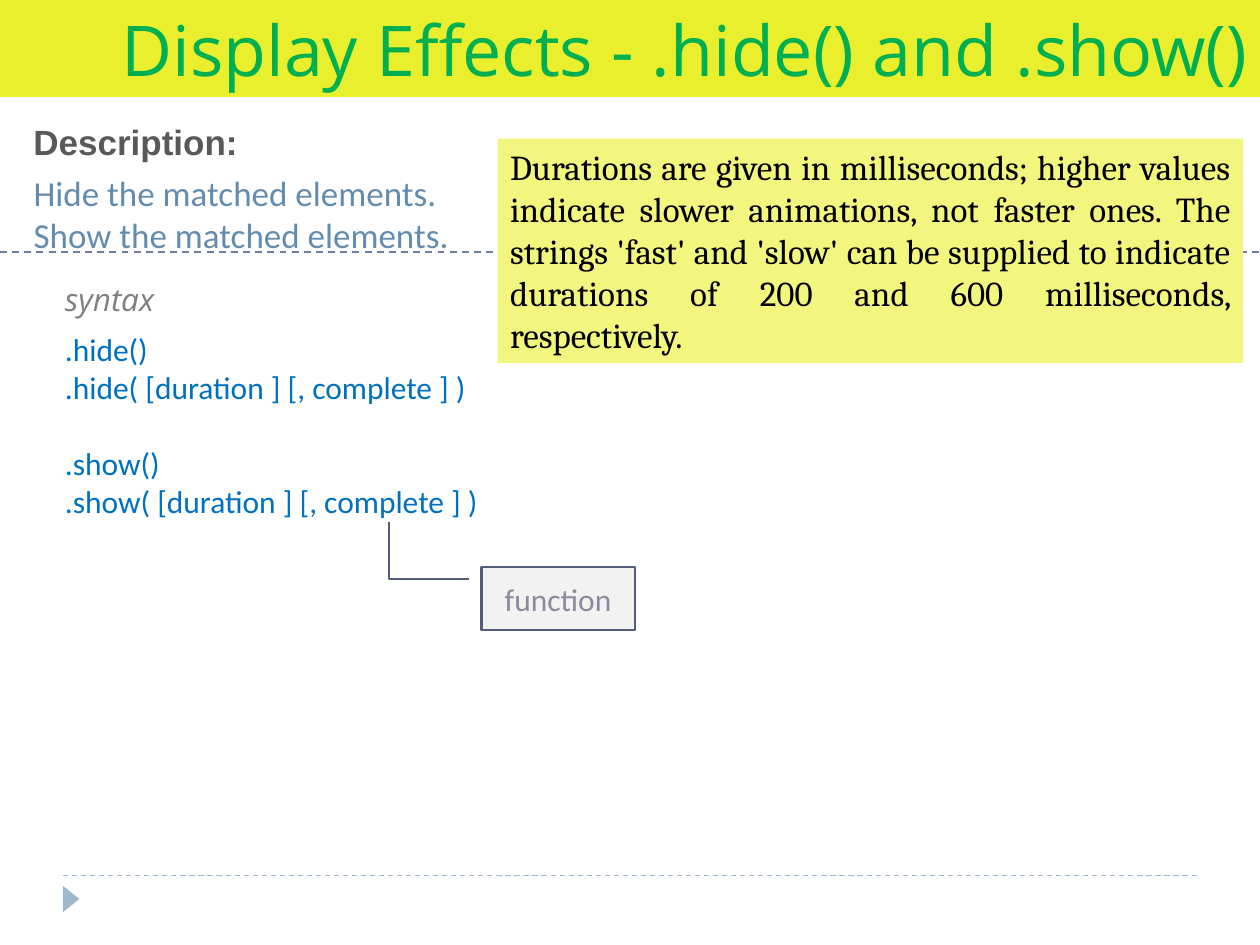
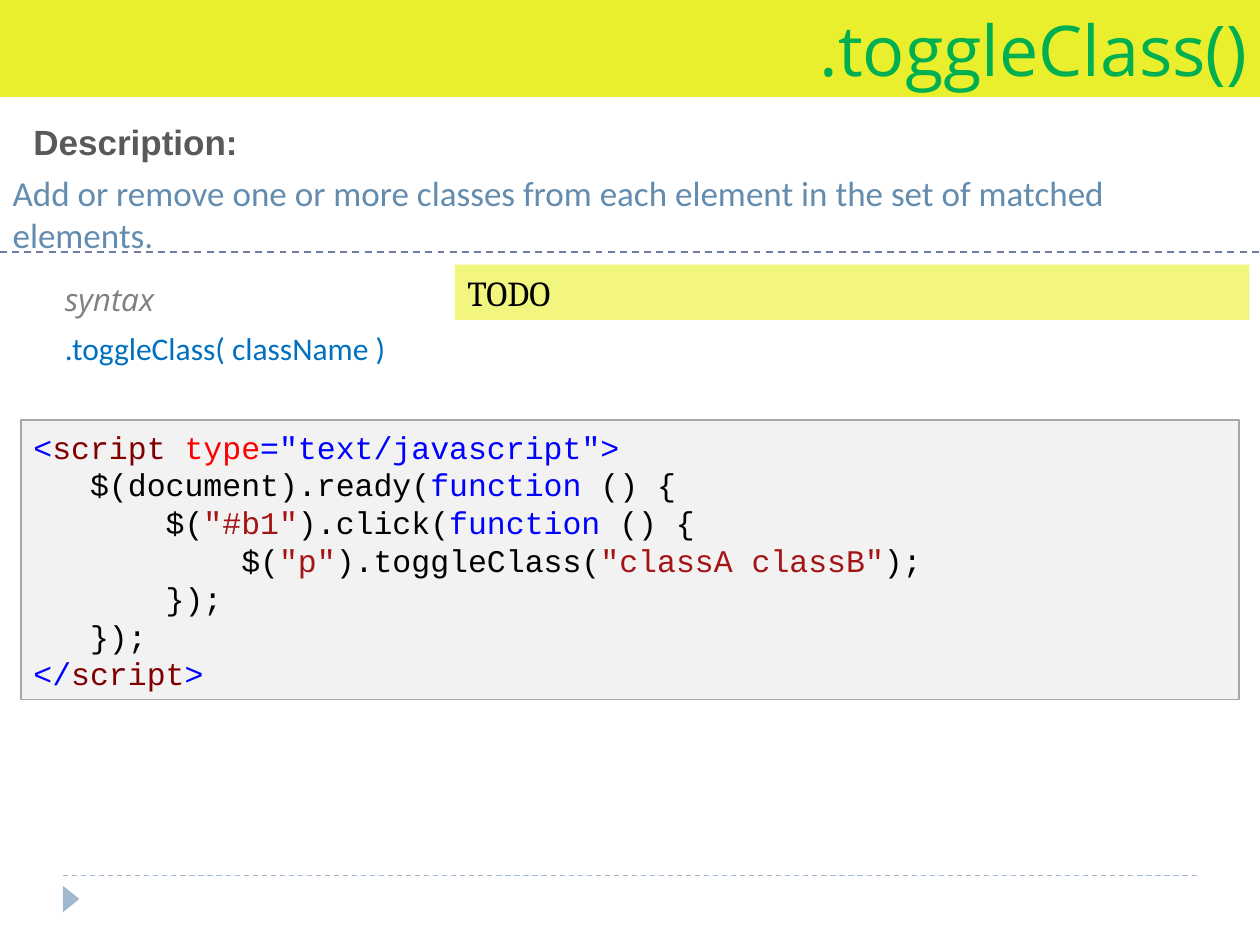
from dataclasses import dataclass
from lxml import etree
from pptx import Presentation
from pptx.dml.color import RGBColor
from pptx.enum.dml import MSO_LINE
from pptx.enum.shapes import MSO_CONNECTOR, MSO_SHAPE
from pptx.enum.text import MSO_ANCHOR, MSO_AUTO_SIZE, PP_ALIGN
from pptx.oxml.ns import qn
from pptx.util import Pt


@dataclass(frozen=True)
class Theme:
    """Colours, and text styles as (font, size, colour)."""
    band = "EAEF2D"
    note_fill = "F3F67E"
    panel = "F2F2F2"
    panel_line = "A6A6A6"
    callout_line = "545C79"
    rule = "727CA3"
    footer = "9FB8CD"
    title = ("Open Sans", 40, "00B050")
    heading = ("Arial", 20, "595959")
    description = ("Calibri", 20, "638CAE")
    syntax_label = ("Open Sans", 18, "808080")
    syntax = ("Calibri", 18, "0070C0")
    note = ("Cambria", 20, "000000")
    callout = ("Calibri", 18, "8B8B9D")
    code = ("Courier New", 18, "000000")
    keyword = "0000FF"
    tag = "800000"
    attribute = "FF0000"
    string = "A31515"


theme = Theme()
WIDTH, HEIGHT = 720, 540
CODE_CHAR = 10.8   # width of one code character
SYNTAX_LINE = 22   # height of one syntax line


def write(shape, box, paragraphs, style, align=PP_ALIGN.LEFT, fill=None, line=None):
    """Place a shape, paint it, and fill it with paragraphs of (text, colour) runs."""
    shape.left, shape.top, shape.width, shape.height = map(Pt, box)
    shape.shadow.inherit = False
    if fill:
        shape.fill.solid()
        shape.fill.fore_color.rgb = RGBColor.from_string(fill)
    if line:
        shape.line.color.rgb = RGBColor.from_string(line[0])
        shape.line.width = Pt(line[1])
    else:
        shape.line.fill.background()
    frame = shape.text_frame
    frame.word_wrap = True
    frame.auto_size = MSO_AUTO_SIZE.NONE
    frame.vertical_anchor = MSO_ANCHOR.MIDDLE
    frame.margin_left = frame.margin_right = Pt(7.2)
    frame.margin_top = frame.margin_bottom = Pt(3.6)
    font, size, default_color = style
    for i, runs in enumerate(paragraphs):
        paragraph = frame.add_paragraph() if i else frame.paragraphs[0]
        paragraph.alignment = align
        paragraph.space_before = Pt(0)
        properties = paragraph._p.get_or_add_pPr()
        properties.set("marL", "0")
        properties.set("indent", "0")
        etree.SubElement(properties, qn("a:buNone"))
        for text, color in ([(runs, None)] if isinstance(runs, str) else runs):
            run = paragraph.add_run()
            run.text = text
            run.font.name, run.font.size = font, Pt(size)
            run.font.color.rgb = RGBColor.from_string(color or default_color)
    return frame


def dashed_line(slide, left, right, y, color, width):
    """Draw a horizontal dashed line without a shadow."""
    rule = slide.shapes.add_connector(MSO_CONNECTOR.STRAIGHT, Pt(left), Pt(y), Pt(right), Pt(y))
    rule.line.color.rgb = RGBColor.from_string(color)
    rule.line.width = Pt(width)
    rule.line.dash_style = MSO_LINE.DASH
    etree.SubElement(rule.element.spPr, qn("a:effectLst"))
    return rule


prs = Presentation()
prs.slide_width, prs.slide_height = Pt(WIDTH), Pt(HEIGHT)
layout = prs.slide_layouts[1]

pages = [
    dict(title="Display Effects - .hide() and .show()",
         description=["Hide the matched elements.", "Show the matched elements."],
         description_box=(12, 94.3, 696, 55.4),
         syntax=[".hide()", ".hide( [duration ] [, complete ] )",
                 ".show()", ".show( [duration ] [, complete ] )"],
         syntax_height=117,
         note="Durations are given in milliseconds; higher values indicate slower "
              "animations, not faster ones. The strings 'fast' and 'slow' can be supplied "
              "to indicate durations of 200 and 600 milliseconds, respectively.",
         note_box=(284.4, 79.2, 426, 128.2)),
    dict(title=".toggleClass()",
         description=["Add or remove one or more classes from each element "
                      "in the set of matched elements."],
         description_box=(0, 94.3, 714, 55.4),
         syntax=[".toggleClass( className )"],
         syntax_height=29,
         note="TODO",
         note_box=(260, 151.2, 454, 31.7)),
]

slides = []
for page in pages:
    slide = prs.slides.add_slide(layout)
    slides.append(slide)
    title, body = slide.placeholders
    write(title, (0, 0, WIDTH, 55.4), [page["title"]], theme.title,
          PP_ALIGN.RIGHT, theme.band)
    write(body, page["description_box"], page["description"], theme.description)

    heading = write(slide.shapes.add_textbox(0, 0, 0, 0), (12, 64.8, 678, 31.7),
                    ["Description:"], theme.heading)
    heading.paragraphs[0].runs[0].font.bold = True
    dashed_line(slide, 0, WIDTH, 144, theme.rule, 1)

    syntax = write(slide.shapes.add_textbox(0, 0, 0, 0),
                   (30, 184.3, 660, page["syntax_height"]), page["syntax"], theme.syntax)
    for paragraph in syntax.paragraphs[1:]:
        if paragraph.text == ".show()":
            paragraph.space_before = Pt(SYNTAX_LINE)
    label = write(slide.shapes.add_textbox(0, 0, 0, 0), (30, 156.2, 660, 28.8),
                  ["syntax"], theme.syntax_label)
    label.paragraphs[0].runs[0].font.italic = True

    write(slide.shapes.add_shape(MSO_SHAPE.RECTANGLE, 0, 0, 0, 0), page["note_box"],
          [page["note"]], theme.note, PP_ALIGN.JUSTIFY, theme.note_fill)

effects_slide, toggle_slide = slides

# Footer: drawn once, then moved to the shared layout
footer_line = dashed_line(effects_slide, 36, 684, 500.4, theme.footer, 0.75)
marker = effects_slide.shapes.add_shape(
    MSO_SHAPE.ISOSCELES_TRIANGLE, Pt(33.1), Pt(509), Pt(15.1), Pt(9.4))
marker.rotation = 90
marker.shadow.inherit = False
marker.fill.solid()
marker.fill.fore_color.rgb = RGBColor.from_string(theme.footer)
marker.line.fill.background()
for shape_id, part in enumerate((footer_line, marker), start=101):
    part.element.xpath(".//p:cNvPr")[0].set("id", str(shape_id))
    layout.shapes.element.append(part.element)

# Callout pointing at the "complete" argument
callout = effects_slide.shapes.add_shape(MSO_SHAPE.LINE_CALLOUT_2, 0, 0, 0, 0)
for i, value in enumerate((0.19, -0.08, 0.19, -0.6, -0.71, -0.6)):
    callout.adjustments[i] = value
write(callout, (275, 324, 87.8, 36), ["function"], theme.callout,
      PP_ALIGN.CENTER, theme.panel, (theme.callout_line, 1.5))

# Code panel: (indent in characters, runs)
function = ("function", theme.keyword)
opening = (" () {", None)
code = [
    (0, [("<", theme.keyword), ("script ", theme.tag), ("type", theme.attribute),
         ('="text/javascript">', theme.keyword)]),
    (3, [("$(document).ready(", None), function, opening]),
    (7, [("$(", None), ('"#b1"', theme.string), (").click(", None), function, opening]),
    (11, [("$(", None), ('"p"', theme.string), (").toggleClass(", None),
          ('"classA classB"', theme.string), (");", None)]),
    (7, "});"),
    (3, "});"),
    (0, [("</", theme.keyword), ("script", theme.tag), (">", theme.keyword)]),
]
panel = write(toggle_slide.shapes.add_shape(MSO_SHAPE.RECTANGLE, 0, 0, 0, 0),
              (12, 240, 696, 159.8), [runs for _, runs in code], theme.code,
              fill=theme.panel, line=(theme.panel_line, 0.75))
for paragraph, (indent, _) in zip(panel.paragraphs, code):
    paragraph._p.get_or_add_pPr().set("marL", str(Pt(indent * CODE_CHAR)))

prs.save("out.pptx")
